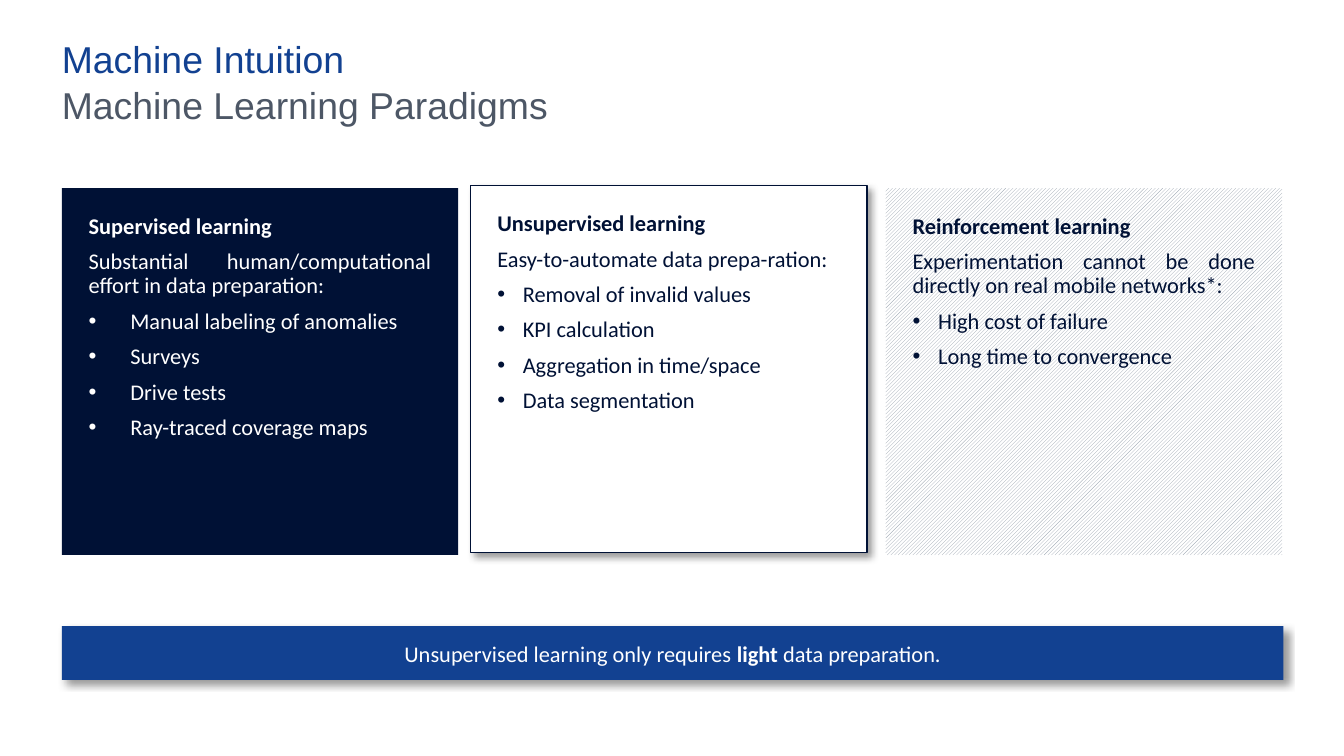
from dataclasses import dataclass

import lxml.etree
import pptx
import pptx.dml.color
import pptx.enum.dml
import pptx.enum.shapes
import pptx.enum.text
import pptx.oxml.ns
import pptx.shapes.autoshape
import pptx.shapes.base
import pptx.slide
import pptx.text.text
import pptx.util

Inches = pptx.util.Inches
Pt = pptx.util.Pt
Align = pptx.enum.text.PP_ALIGN
Anchor = pptx.enum.text.MSO_ANCHOR

NAVY, BLUE, GRAY, WHITE, HATCH = "001135", "124191", "4D5766", "FFFFFF", "98A2AE"
LEFT, WIDTH = 0.46, 9.09
CARD_WIDTH, CARD_HEIGHT = 2.95, 2.73


@dataclass
class Card:
    left: float
    top: float
    heading: str
    summary: str
    bullets: list[str]
    fill: str
    text_color: str
    indent: float = 0.19
    bullet_align: Align = Align.JUSTIFY
    outline: str | None = None
    hatch: str | None = None
    shadow: bool = False


CARDS = [
    Card(LEFT, 1.4, "Supervised learning",
         "Substantial human/computational effort in data preparation:",
         ["Manual labeling of anomalies", "Surveys", "Drive tests", "Ray-traced coverage maps"],
         NAVY, WHITE, indent=0.31, bullet_align=Align.LEFT),
    Card(3.5, 1.38, "Unsupervised learning",
         "Easy-to-automate data prepa-ration:",
         ["Removal of invalid values", "KPI calculation", "Aggregation in time/space",
          "Data segmentation"],
         WHITE, NAVY, outline=NAVY, shadow=True),
    Card(6.59, 1.4, "Reinforcement learning",
         "Experimentation cannot be done directly on real mobile networks*:",
         ["High cost of failure", "Long time to convergence"],
         WHITE, NAVY, hatch=HATCH),
]


def rgb(value: str) -> pptx.dml.color.RGBColor:
    return pptx.dml.color.RGBColor.from_string(value)


def add_element(parent: lxml.etree._Element, tag: str, **attributes: str) -> lxml.etree._Element:
    return lxml.etree.SubElement(parent, pptx.oxml.ns.qn(tag), attributes)


def add_run(paragraph: pptx.text.text._Paragraph, text: str, color: str,
            size: float = 12, font: str = "Calibri", bold: bool = False) -> None:
    run = paragraph.add_run()
    run.text = text
    run.font.name = font
    run.font.size = Pt(size)
    run.font.bold = bold
    run.font.color.rgb = rgb(color)


def set_margins(frame: pptx.text.text.TextFrame, horizontal: float, vertical: float) -> None:
    frame.word_wrap = True
    frame.auto_size = pptx.enum.text.MSO_AUTO_SIZE.NONE
    frame.margin_left = frame.margin_right = Inches(horizontal)
    frame.margin_top = frame.margin_bottom = Inches(vertical)


def fill_heading(placeholder: pptx.shapes.base.BaseShape, top: float, text: str, color: str) -> None:
    placeholder.left, placeholder.top = Inches(LEFT), Inches(top)
    placeholder.width, placeholder.height = Inches(WIDTH), Inches(0.34)
    frame = placeholder.text_frame
    set_margins(frame, 0, 0)
    frame.vertical_anchor = Anchor.TOP
    paragraph = frame.paragraphs[0]
    paragraph.alignment = Align.LEFT
    paragraph.line_spacing = 0.9
    paragraph.space_before = Pt(0)
    properties = paragraph._p.get_or_add_pPr()
    properties.set("marL", "0")
    properties.set("indent", "0")
    add_element(properties, "a:buNone")
    add_run(paragraph, text, color, 20, "Arial")


def add_rectangle(slide: pptx.slide.Slide, left: float, top: float, width: float, height: float,
                  fill: str, shadow: bool) -> pptx.shapes.autoshape.Shape:
    shape = slide.shapes.add_shape(pptx.enum.shapes.MSO_SHAPE.RECTANGLE, Inches(left),
                                   Inches(top), Inches(width), Inches(height))
    shape.fill.solid()
    shape.fill.fore_color.rgb = rgb(fill)
    shape.line.fill.background()
    shape.shadow.inherit = False
    if shadow:
        effects = shape._element.spPr.find(pptx.oxml.ns.qn("a:effectLst"))
        outer = add_element(effects, "a:outerShdw", blurRad=str(Pt(4)), dist=str(Pt(3)),
                            dir="2700000", algn="tl", rotWithShape="0")
        color = add_element(outer, "a:srgbClr", val="000000")
        add_element(color, "a:alpha", val="40000")
    return shape


def add_card(slide: pptx.slide.Slide, card: Card) -> None:
    shape = add_rectangle(slide, card.left, card.top, CARD_WIDTH, CARD_HEIGHT,
                          card.fill, card.shadow)
    if card.outline:
        shape.line.color.rgb = rgb(card.outline)
        shape.line.width = Pt(0.75)
    if card.hatch:
        shape.fill.patterned()
        shape.fill.pattern = pptx.enum.dml.MSO_PATTERN.LIGHT_UPWARD_DIAGONAL
        shape.fill.fore_color.rgb = rgb(card.hatch)
        shape.fill.back_color.rgb = rgb(card.fill)
    frame = shape.text_frame
    set_margins(frame, 0.2, 0.2)
    frame.vertical_anchor = Anchor.TOP
    for index, text in enumerate([card.heading, card.summary, *card.bullets]):
        paragraph = frame.add_paragraph() if index else frame.paragraphs[0]
        paragraph.alignment = Align.JUSTIFY
        paragraph.line_spacing = 0.9
        paragraph.space_after = Pt(6)
        if index > 1:
            paragraph.alignment = card.bullet_align
            properties = paragraph._p.get_or_add_pPr()
            properties.set("marL", str(Inches(card.indent)))
            properties.set("indent", str(-Inches(card.indent)))
            add_element(properties, "a:buFont", typeface="Arial")
            add_element(properties, "a:buChar", char="•")
        add_run(paragraph, text, card.text_color, bold=index == 0)


def add_conclusion(slide: pptx.slide.Slide) -> None:
    shape = add_rectangle(slide, LEFT, 4.66, WIDTH, 0.4, BLUE, shadow=True)
    frame = shape.text_frame
    set_margins(frame, 0.1, 0.04)
    frame.vertical_anchor = Anchor.MIDDLE
    paragraph = frame.paragraphs[0]
    paragraph.alignment = Align.CENTER
    paragraph.space_after = Pt(6)
    add_run(paragraph, "Unsupervised learning only requires ", WHITE)
    add_run(paragraph, "light ", WHITE, bold=True)
    add_run(paragraph, "data preparation.", WHITE)


def main() -> None:
    presentation = pptx.Presentation()
    presentation.slide_width = Inches(10)
    presentation.slide_height = Inches(10 * 9 / 16)
    slide = presentation.slides.add_slide(presentation.slide_layouts[1])
    fill_heading(slide.shapes.title, 0.31, "Machine Intuition", BLUE)
    fill_heading(slide.placeholders[1], 0.65, "Machine Learning Paradigms", GRAY)
    add_conclusion(slide)
    for card in CARDS:
        add_card(slide, card)
    presentation.save("out.pptx")


if __name__ == "__main__":
    main()
